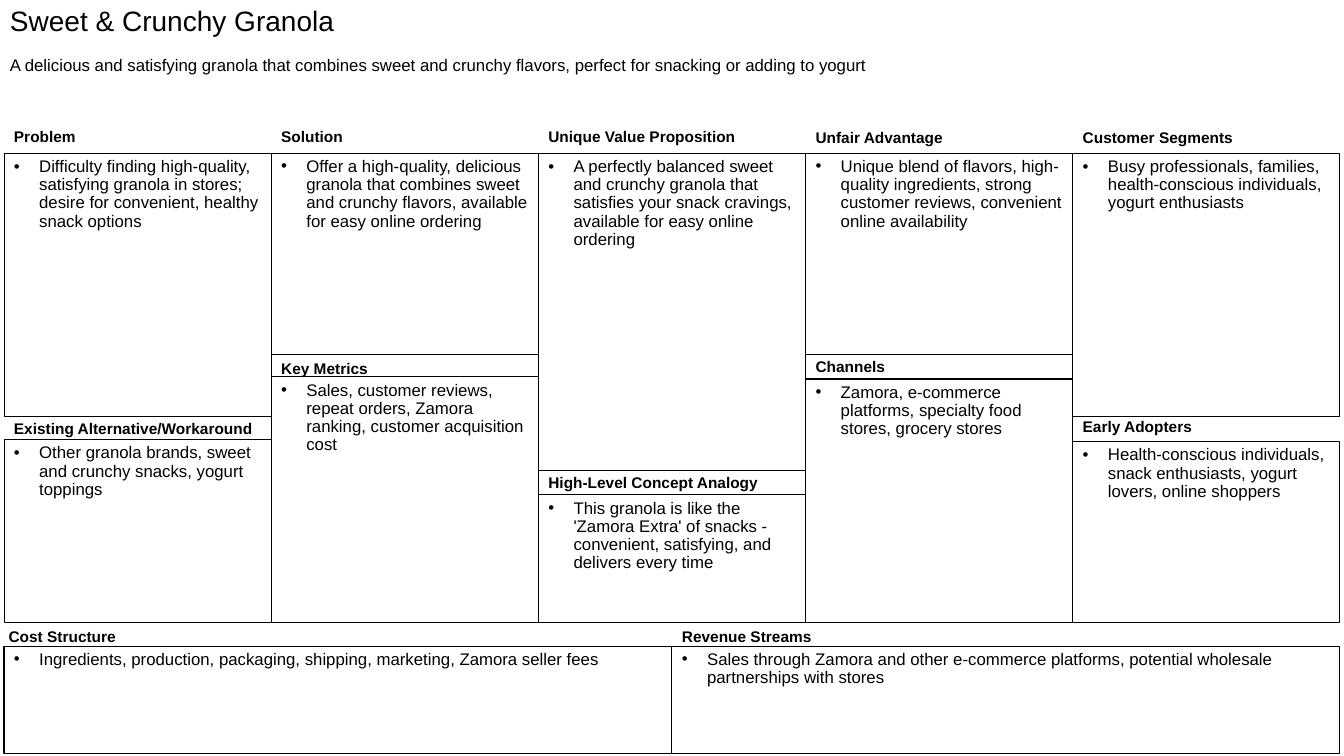
from lxml.etree import SubElement
from pptx import Presentation
from pptx.dml.color import RGBColor
from pptx.enum.shapes import MSO_SHAPE
from pptx.enum.text import MSO_ANCHOR, PP_ALIGN
from pptx.oxml.ns import qn
from pptx.util import Inches, Pt

COLORS = {"ink": "000000"}

# column, span, head column, head row, top row, end row, head, text
CELLS = [
    (0, 1, 0, 12.5, 15.2, 41.3, "Problem",
     "Difficulty finding high-quality, satisfying granola in stores; "
     "desire for convenient, healthy snack options"),
    (0, 1, 0, 41.5, 43.6, 61.8, "Existing Alternative/Workaround",
     "Other granola brands, sweet and crunchy snacks, yogurt toppings"),
    (1, 1, 1, 12.5, 15.2, 35.2, "Solution",
     "Offer a high-quality, delicious granola that combines sweet and "
     "crunchy flavors, available for easy online ordering"),
    (1, 1, 1, 35.5, 37.4, 61.8, "Key Metrics",
     "Sales, customer reviews, repeat orders, Zamora ranking, "
     "customer acquisition cost"),
    (2, 1, 2, 12.5, 15.2, 46.7, "Unique Value Proposition",
     "A perfectly balanced sweet and crunchy granola that satisfies your "
     "snack cravings, available for easy online ordering"),
    (2, 1, 2, 46.9, 49.1, 61.8, "High-Level Concept Analogy",
     "This granola is like the 'Zamora Extra' of snacks - convenient, "
     "satisfying, and delivers every time"),
    (3, 1, 3, 12.6, 15.2, 35.2, "Unfair Advantage",
     "Unique blend of flavors, high-quality ingredients, strong customer "
     "reviews, convenient online availability"),
    (3, 1, 3, 35.3, 37.6, 61.8, "Channels",
     "Zamora, e-commerce platforms, specialty food stores, grocery stores"),
    (4, 1, 4, 12.6, 15.2, 41.3, "Customer Segments",
     "Busy professionals, families, health-conscious individuals, "
     "yogurt enthusiasts"),
    (4, 1, 4, 41.3, 43.8, 61.8, "Early Adopters",
     "Health-conscious individuals, snack enthusiasts, yogurt lovers, "
     "online shoppers"),
    (0, 2.5, -0.02, 62.1, 64.1, 74.8, "Cost Structure",
     "Ingredients, production, packaging, shipping, marketing, "
     "Zamora seller fees"),
    (2.5, 2.5, 2.5, 62.1, 64.1, 74.8, "Revenue Streams",
     "Sales through Zamora and other e-commerce platforms, potential "
     "wholesale partnerships with stores"),
]


class Canvas:
    font = "Arial"
    left, col, row = 0.04, 2.65, 0.1

    def __init__(self, deck):
        self.wide = deck.slide_width
        self.shapes = deck.slides.add_slide(deck.slide_layouts[6]).shapes

    def place(self, col, row, span, rows):
        """Turn grid columns and rows into left, top, width and height."""
        return (Inches(self.left + col * self.col), Inches(row * self.row),
                Inches(span * self.col), Inches(rows * self.row))

    def label(self, shape, text, size, bold=False):
        """Fill a shape with one styled paragraph and return it."""
        frame = shape.text_frame
        frame.word_wrap = True
        frame.vertical_anchor = MSO_ANCHOR.TOP
        frame.text = text
        para = frame.paragraphs[0]
        para.alignment = PP_ALIGN.LEFT
        font = para.runs[0].font
        font.name, font.size, font.bold = self.font, Pt(size), bold
        font.color.rgb = RGBColor.from_string(COLORS["ink"])
        return para

    def banner(self, row, rows, text, size):
        """Add a line of text as wide as the slide."""
        _, top, _, high = self.place(0, row, 1, rows)
        shape = self.shapes.add_textbox(0, top, self.wide, high)
        self.label(shape, text, size).line_spacing = 0.9

    def head(self, col, row, text):
        shape = self.shapes.add_textbox(*self.place(col, row, 1, 2))
        self.label(shape, text, 11, bold=True)
        frame = shape.text_frame
        frame.vertical_anchor = MSO_ANCHOR.MIDDLE
        frame.margin_top = frame.margin_right = frame.margin_bottom = 0

    def box(self, col, span, top, end, text):
        spot = self.place(col, top, span, end - top)
        shape = self.shapes.add_shape(MSO_SHAPE.RECTANGLE, *spot)
        shape.shadow.inherit = False
        shape.fill.background()
        shape.line.color.rgb = RGBColor.from_string(COLORS["ink"])
        shape.line.width = Pt(0.75)
        para = self.label(shape, text, 12)
        para.line_spacing = 0.9
        para.space_before = Pt(10)
        props = para._p.get_or_add_pPr()
        props.set("marL", str(Inches(0.25)))
        props.set("indent", str(Inches(-0.25)))
        SubElement(props, qn("a:buFont")).set("typeface", self.font)
        SubElement(props, qn("a:buChar")).set("char", "•")


def main():
    deck = Presentation()
    deck.slide_width, deck.slide_height = Inches(13.33), Inches(7.5)
    canvas = Canvas(deck)
    canvas.banner(0.2, 5.1, "Sweet & Crunchy Granola", 20)
    canvas.banner(5.2, 6.3, "A delicious and satisfying granola that combines "
                  "sweet and crunchy flavors, perfect for snacking or adding "
                  "to yogurt", 12)
    for col, span, head_col, head_row, top, end, head, text in CELLS:
        canvas.head(head_col, head_row, head)
        canvas.box(col, span, top, end, text)
    deck.save("out.pptx")


if __name__ == "__main__":
    main()
